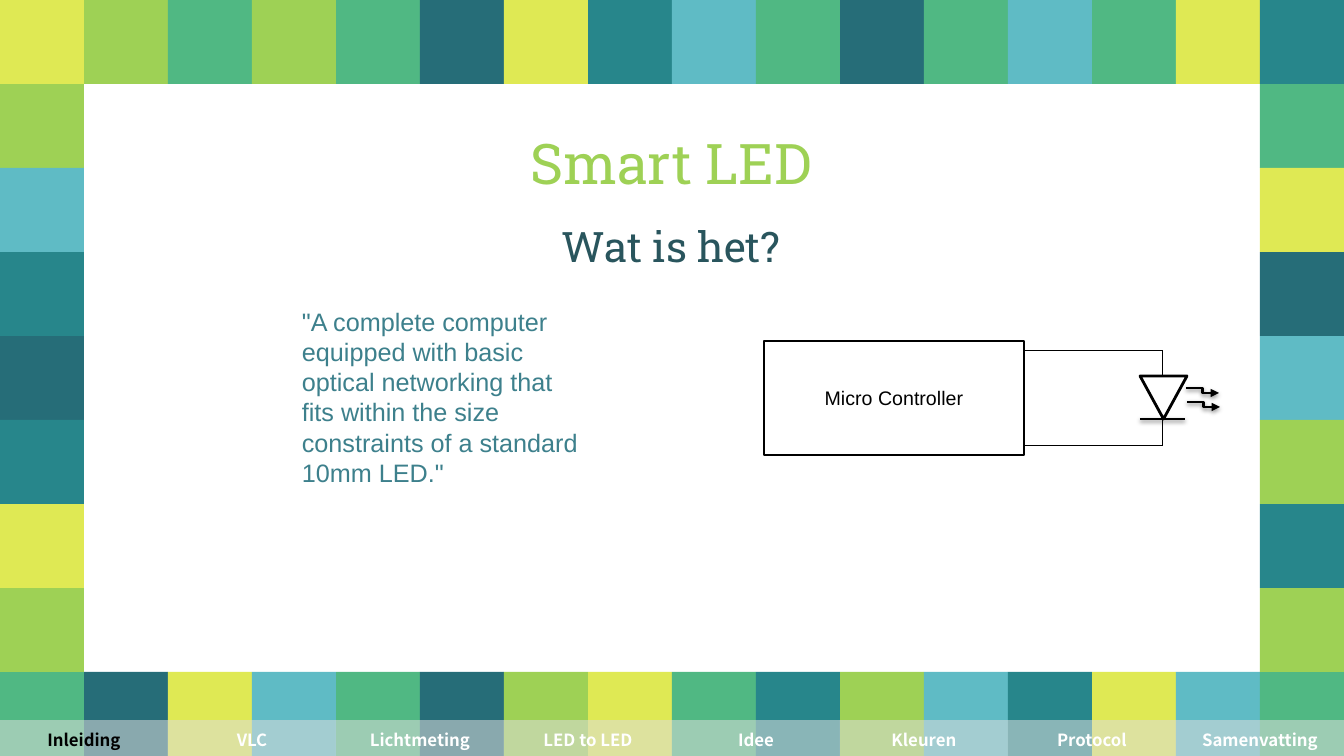
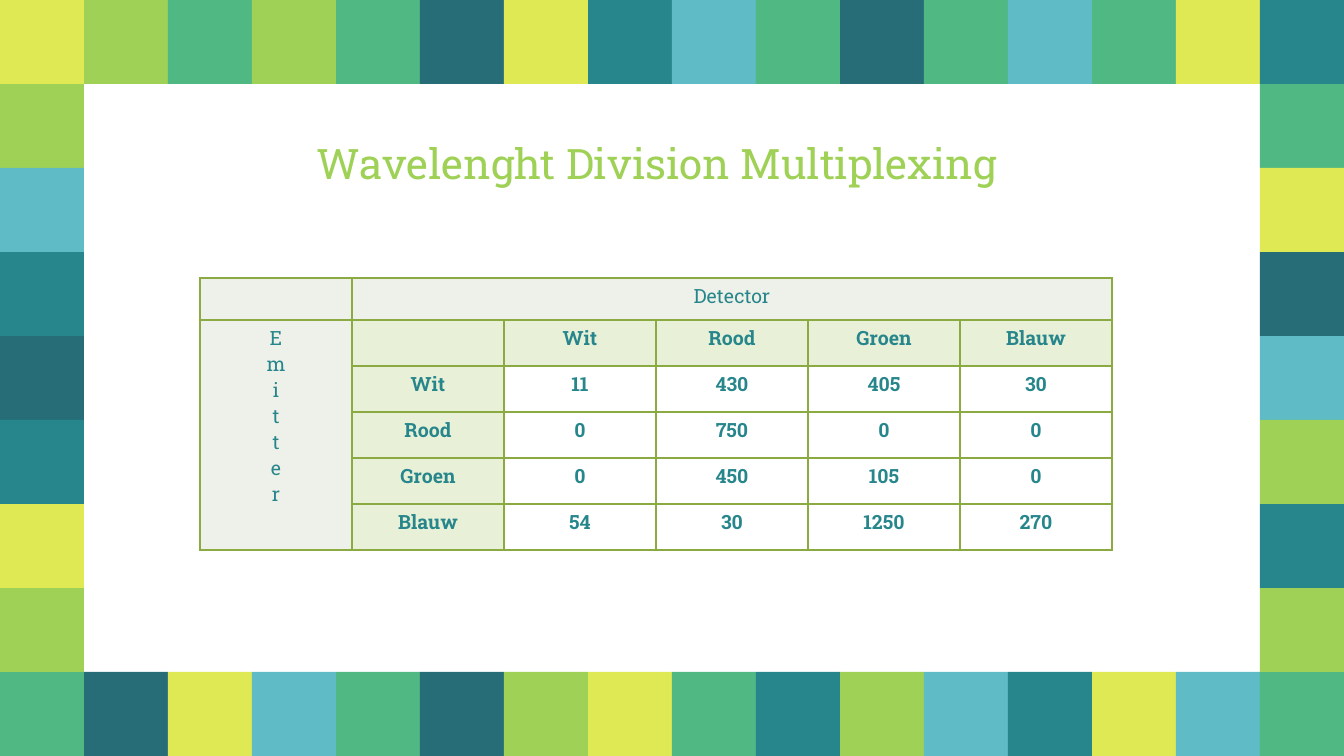
import lxml.etree
import pptx
import pptx.dml.color
import pptx.enum.shapes
import pptx.enum.text
import pptx.oxml.ns
import pptx.util

SLIDE_W, SLIDE_H, TILE = 1344, 756, 84
LIME, TEAL, BLACK, WHITE = "9ED155", "27868B", "000000", "FFFFFF"
SLAB, SANS, NAV_FONT = "Roboto Slab", "Arial", "Noto Sans CJK KR"
TILE_COLORS = {"L": LIME, "D": "266D78", "Y": "DFE954", "G": "50B883", "T": TEAL, "S": "5FBBC5"}
TOP_TILES, BOTTOM_TILES = "YLGLGDYTSGDGSGYT", "GDYSGDLYGTLSTYSG"
LEFT_TILES, RIGHT_TILES = "LSTDTYL", "GYDSLTL"
CHAPTERS = ["Inleiding", "VLC", "Lichtmeting", "LED to LED", "Idee", "Kleuren", "Protocol", "Samenvatting"]
NO_TABLE_STYLE = "{2D5ABB26-0587-4C30-8999-92F81FD0307C}"
HEADER_FILL, LABEL_FILL, TABLE_LINE = "EEF1E9", "E8F0D8", "8BAB42"
COLORS = ["Wit", "Rood", "Groen", "Blauw"]
READINGS = [[11, 430, 405, 30], [0, 750, 0, 0], [0, 450, 105, 0], [54, 30, 1250, 270]]
QUOTE = ('"A complete computer equipped with basic optical networking that fits '
         'within the size constraints of a standard 10mm LED."')
ALIGN = pptx.enum.text.PP_ALIGN
ANCHOR = pptx.enum.text.MSO_ANCHOR
SHAPE = pptx.enum.shapes.MSO_SHAPE
CONNECTOR = pptx.enum.shapes.MSO_CONNECTOR


def px(n):
    """Turn pixels into EMU."""
    return pptx.util.Emu(round(n * 12192000 / SLIDE_W))


def rgb(color):
    """Turn a hex string into a colour."""
    return pptx.dml.color.RGBColor.from_string(color)


def sub(parent, tag, **attrs):
    """Append a DrawingML element."""
    return lxml.etree.SubElement(parent, pptx.oxml.ns.qn(tag), {k: str(v) for k, v in attrs.items()})


def style(font, name, size, color, bold=False):
    """Set the look of a font."""
    font.name, font.size, font.bold = name, pptx.util.Pt(size), bold
    font.color.rgb = rgb(color)


def add_box(s, kind, x, y, w, h, fill, line=None):
    """Add a filled shape with an optional 2 pt outline."""
    sp = s.shapes.add_shape(kind, px(x), px(y), px(w), px(h))
    sp.shadow.inherit = False
    sp.fill.solid()
    sp.fill.fore_color.rgb = rgb(fill)
    if line:
        sp.line.color.rgb = rgb(line)
        sp.line.width = pptx.util.Pt(2)
    else:
        sp.line.fill.background()
    return sp


def add_text(s, x, y, w, h, anchor=ANCHOR.TOP):
    """Add a wrapping text box and return its frame."""
    tf = s.shapes.add_textbox(px(x), px(y), px(w), px(h)).text_frame
    tf.word_wrap = True
    tf.vertical_anchor = anchor
    return tf


def add_wire(s, x1, y1, x2, y2, kind=CONNECTOR.STRAIGHT, width=0.75, shadow=False, arrow=False):
    """Add a black connector with optional shadow and arrowhead."""
    c = s.shapes.add_connector(kind, px(x1), px(y1), px(x2), px(y2))
    c.line.color.rgb = rgb(BLACK)
    c.line.width = pptx.util.Pt(width)
    spPr = c._element.spPr
    if arrow:
        sub(spPr.find(pptx.oxml.ns.qn("a:ln")), "a:tailEnd", type="triangle")
    effects = sub(spPr, "a:effectLst")
    if shadow:
        outer = sub(effects, "a:outerShdw", blurRad=39370, dist=20320, dir=5400000, rotWithShape=0)
        sub(sub(outer, "a:srgbClr", val=BLACK), "a:alpha", val=38000)


def add_frame(s):
    """Surround the slide with coloured tiles."""
    rows, cols = SLIDE_H // TILE, SLIDE_W // TILE
    strips = [(TOP_TILES, 0, 0, 1, 0), (BOTTOM_TILES, 0, rows - 1, 1, 0),
              (LEFT_TILES, 0, 1, 0, 1), (RIGHT_TILES, cols - 1, 1, 0, 1)]
    for tiles, col, row, dx, dy in strips:
        for i, key in enumerate(tiles):
            add_box(s, SHAPE.RECTANGLE, (col + i * dx) * TILE, (row + i * dy) * TILE,
                    TILE, TILE, TILE_COLORS[key])


def add_title(s, x, y, w, h, lines, spacing=1.0):
    """Add a centred title of (text, size, colour) lines."""
    tf = add_text(s, x, y, w, h, ANCHOR.BOTTOM)
    tf.margin_left = tf.margin_right = tf.margin_top = tf.margin_bottom = px(10)
    p = tf.paragraphs[0]
    p.alignment, p.line_spacing = ALIGN.CENTER, spacing
    for i, (text, size, color) in enumerate(lines):
        if i:
            p.add_line_break()
        r = p.add_run()
        r.text = text
        style(r.font, SLAB, size, color)


def add_table(s, x, y, w, heights, cols):
    """Add an unstyled table with equal columns."""
    frame = s.shapes.add_table(len(heights), cols, px(x), px(y), px(w), px(sum(heights)))
    table = frame.table
    table.first_row = table.horz_banding = False
    table._tbl.tblPr.find(pptx.oxml.ns.qn("a:tableStyleId")).text = NO_TABLE_STYLE
    for column in table.columns:
        column.width = px(w / cols)
    for row, height in zip(table.rows, heights):
        row.height = px(height)
    return table


def set_cell(cell, text, fill, font, size, color, bold):
    """Fill a cell and set its centred text."""
    cell.fill.solid()
    cell.fill.fore_color.rgb = rgb(fill)
    cell.text = text
    for p in cell.text_frame.paragraphs:
        p.alignment = ALIGN.CENTER
        style(p.font, font, size, color, bold)


def add_nav(s, x, y, w, h, current):
    """Add the translucent chapter bar."""
    table = add_table(s, x, y, w, [h], len(CHAPTERS))
    for cell, chapter in zip(table.rows[0].cells, CHAPTERS):
        set_cell(cell, chapter, "DDDDDD", NAV_FONT, 12, BLACK if chapter == current else WHITE, True)
        cell.vertical_anchor = ANCHOR.MIDDLE
        fill = cell._tc.tcPr.find(pptx.oxml.ns.qn("a:solidFill"))
        sub(fill[0], "a:alpha", val=54000)


def add_circuit(s, x, y, w, h):
    """Draw a controller that drives a light-emitting diode."""
    box_w, led = 260, x + w - 57
    for wire_y, start, end in [(10, 10, 35), (h - 9, h - 35, h - 9)]:
        add_wire(s, x + box_w, y + wire_y, led, y + wire_y)
        add_wire(s, led, y + start, led, y + end)
    diode = add_box(s, SHAPE.ISOSCELES_TRIANGLE, led - 23, y + 35, 47, 43, WHITE, BLACK)
    diode.rotation = 180
    add_wire(s, led - 23, y + 78, led + 22, y + 78, width=2, shadow=True)
    for dx, dy in [(23, 47), (24, 61)]:
        add_wire(s, led + dx, y + dy, led + dx + 33, y + dy + 5, CONNECTOR.ELBOW, 2, True, True)
    sp = add_box(s, SHAPE.RECTANGLE, x, y, box_w, h, WHITE, BLACK)
    sp.text_frame.vertical_anchor = ANCHOR.MIDDLE
    p = sp.text_frame.paragraphs[0]
    p.text, p.alignment = "Micro Controller", ALIGN.CENTER
    style(p.font, SANS, 14, BLACK)


def add_quote(s, x, y, w, h):
    """Add the definition."""
    p = add_text(s, x, y, w, h).paragraphs[0]
    p.text = QUOTE
    style(p.font, SANS, 18, "3D808C")


def add_readings(s, x, y, w):
    """Add the emitter by detector table."""
    rows = [["", "Detector", "", "", "", ""], ["\n".join("Emitter"), "", *COLORS]]
    rows += [["", name, *map(str, values)] for name, values in zip(COLORS, READINGS)]
    table = add_table(s, x, y, w, [42] + [46] * 5, 6)
    table.cell(0, 1).merge(table.cell(0, 5))
    table.cell(1, 0).merge(table.cell(5, 0))
    for i, row in enumerate(rows):
        for j, text in enumerate(row):
            cell = table.cell(i, j)
            header = i == 0 or j == 0
            fill = HEADER_FILL if header else LABEL_FILL if i == 1 or j == 1 else WHITE
            tcPr = cell._tc.get_or_add_tcPr()
            for side in "LRTB":
                ln = sub(tcPr, "a:ln" + side, w=12700)
                sub(sub(ln, "a:solidFill"), "a:srgbClr", val=TABLE_LINE)
            set_cell(cell, text, fill, SLAB, 14, TEAL, not header)


def smart_led_slide(s):
    """Build the slide that defines the smart LED."""
    add_frame(s)
    add_title(s, 496, 87, 350, 194, [("Smart LED", 40, LIME), ("Wat is het?", 30, "29555D")], 1.5)
    add_circuit(s, 764, 341, 456, 114)
    add_quote(s, 292, 301, 302, 194)
    add_nav(s, 0, 720, SLIDE_W, 38, "Inleiding")


def multiplexing_slide(s):
    """Build the slide with the colour readings."""
    add_frame(s)
    add_title(s, 186, 72, 942, 126, [("Wavelenght Division Multiplexing", 30, LIME)])
    add_readings(s, 200, 278, 912)


def main():
    """Build and save the presentation."""
    prs = pptx.Presentation()
    prs.slide_width, prs.slide_height = px(SLIDE_W), px(SLIDE_H)
    for build in (smart_led_slide, multiplexing_slide):
        build(prs.slides.add_slide(prs.slide_layouts[6]))
    prs.save("out.pptx")


if __name__ == "__main__":
    main()
